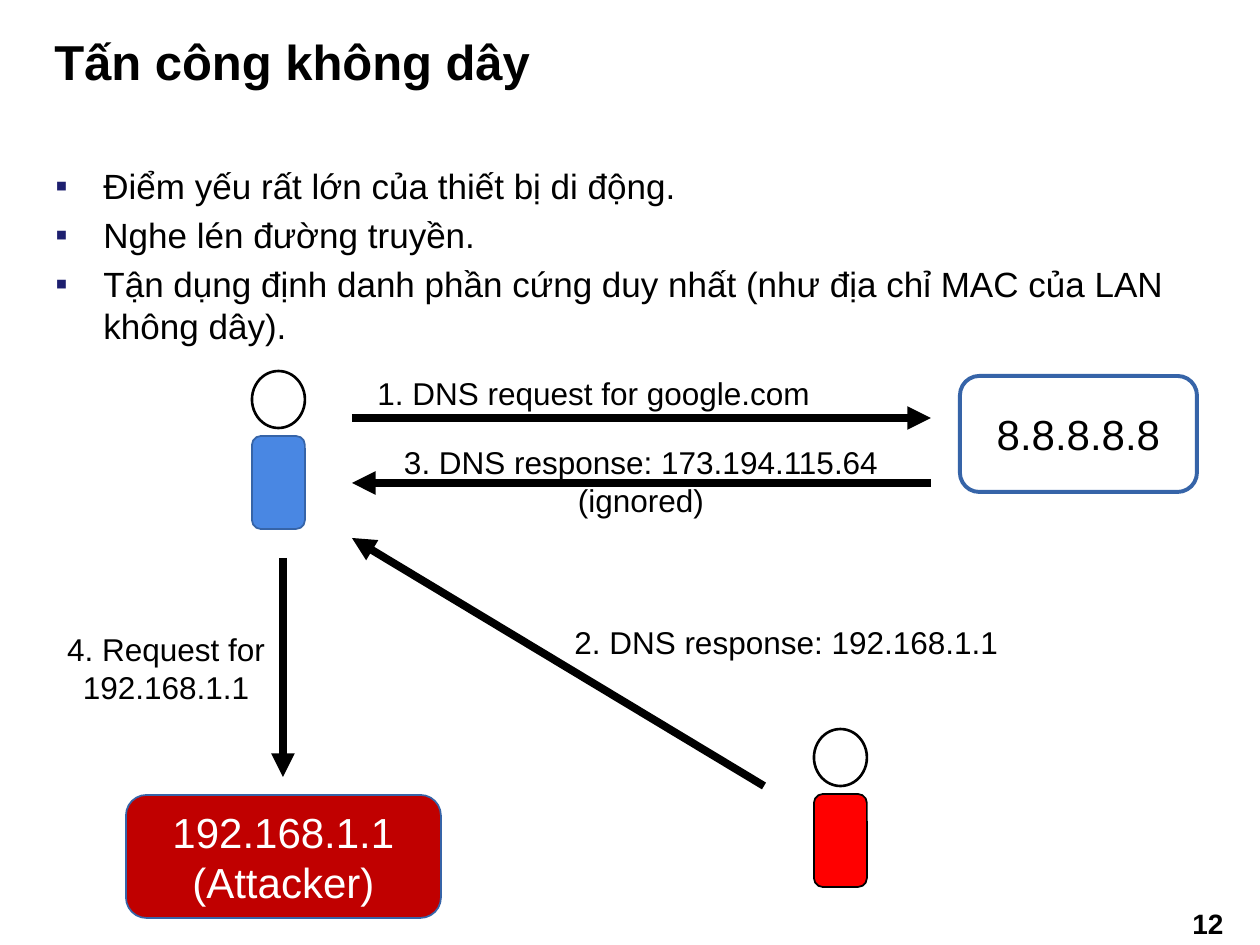
import pptx
import pptx.util
import pptx.dml.color
import pptx.enum.shapes
import pptx.enum.text
import pptx.oxml
import pptx.oxml.ns
import lxml.etree

SHAPE = pptx.enum.shapes.MSO_SHAPE
ANCHOR = pptx.enum.text.MSO_ANCHOR
ALIGN = pptx.enum.text.PP_ALIGN
Pt = pptx.util.Pt
rgb = pptx.dml.color.RGBColor.from_string
qn = pptx.oxml.ns.qn
PX = 914400 / 126


def write(shape, lines, size, color="000000", align=ALIGN.LEFT, bold=False):
    shape.text_frame.text = lines
    for paragraph in shape.text_frame.paragraphs:
        paragraph.alignment = align
        paragraph.font.name = "Arial"
        paragraph.font.size = Pt(size)
        paragraph.font.bold = bold
        paragraph.font.color.rgb = rgb(color)


def draw(kind, box, fill, line, width):
    shape = slide.shapes.add_shape(kind, *[round(n * PX) for n in box])
    shape.shadow.inherit = False
    shape.fill.solid()
    shape.fill.fore_color.rgb = rgb(fill)
    shape.line.color.rgb = rgb(line)
    shape.line.width = Pt(width)
    return shape


deck = pptx.Presentation()
deck.slide_width = round(1260 * PX)
deck.slide_height = round(945 * PX)
slide = deck.slides.add_slide(deck.slide_layouts[6])

title = slide.shapes.add_textbox(*[round(n * PX) for n in (42, 22, 1081, 78)])
title.text_frame.word_wrap = True
title.text_frame.vertical_anchor = ANCHOR.MIDDLE
write(title, "Tấn công không dây", 28, bold=True)

page_number = slide.shapes.add_textbox(*[round(n * PX) for n in (1165, 900, 86, 38)])
page_number.text_frame.word_wrap = True
write(page_number, "12", 16, align=ALIGN.CENTER, bold=True)

weaknesses = slide.shapes.add_textbox(*[round(n * PX) for n in (43, 158, 1166, 210)])
weaknesses.text_frame.word_wrap = True
weaknesses.text_frame.text = "\n".join([
    "Điểm yếu rất lớn của thiết bị di động.",
    "Nghe lén đường truyền.",
    "Tận dụng định danh phần cứng duy nhất (như địa chỉ MAC của LAN không dây).",
])
for index, point in enumerate(weaknesses.text_frame.paragraphs):
    properties = point._p.get_or_add_pPr()
    properties.set("marL", str(round(48 * PX)))
    properties.set("indent", str(round(-48 * PX)))
    bullet_color = lxml.etree.SubElement(properties, qn("a:buClr"))
    lxml.etree.SubElement(bullet_color, qn("a:srgbClr"), val="1D1F6F")
    lxml.etree.SubElement(properties, qn("a:buFont"), typeface="Arial")
    lxml.etree.SubElement(properties, qn("a:buChar"), char="▪")
    if index:
        point.space_before = Pt(4)
    point.font.name = "Arial"
    point.font.size = Pt(20)
    point.font.color.rgb = rgb("000000")

for left, top, body_fill, body_line in [
    (252, 371, "4987E3", "3664A8"),
    (814, 729, "FF0000", "000000"),
]:
    draw(SHAPE.ROUNDED_RECTANGLE, (left, top + 65, 53, 93), body_fill, body_line, 1)
    draw(SHAPE.OVAL, (left, top, 53, 57), "FFFFFF", "000000", 1.5)

for host, box, fill, width, color in [
    ("8.8.8.8.8", (960, 376, 237, 116), "FFFFFF", 2.25, "000000"),
    ("192.168.1.1\v(Attacker)", (126, 795, 315, 123), "C00000", 1, "FFFFFF"),
]:
    server = draw(SHAPE.ROUNDED_RECTANGLE, box, fill, "3664A8", width)
    server.text_frame.vertical_anchor = ANCHOR.MIDDLE
    write(server, host, 24, color, ALIGN.CENTER)

for message, box, align, ends in [
    ("1. DNS request for google.com", (365, 368, 462, 50), ALIGN.LEFT, (352, 418, 931, 418)),
    ("3. DNS response: 173.194.115.64\v(ignored)", (389, 437, 504, 89), ALIGN.CENTER,
     (931, 483, 352, 483)),
    ("2. DNS response: 192.168.1.1", (562, 617, 454, 50), ALIGN.LEFT, (764, 786, 352, 538)),
    ("4. Request for\v192.168.1.1", (49, 624, 234, 89), ALIGN.CENTER, (283, 558, 283, 777)),
]:
    arrow = slide.shapes.add_connector(
        pptx.enum.shapes.MSO_CONNECTOR.STRAIGHT, *[round(n * PX) for n in ends])
    arrow.line.color.rgb = rgb("000000")
    arrow.line.width = Pt(4.5)
    lxml.etree.SubElement(arrow.line._get_or_add_ln(), qn("a:tailEnd"), type="triangle")
    lxml.etree.SubElement(arrow._element.spPr, qn("a:effectLst"))
    label = slide.shapes.add_textbox(*[round(n * PX) for n in box])
    label.text_frame.word_wrap = False
    label.text_frame.auto_size = pptx.enum.text.MSO_AUTO_SIZE.SHAPE_TO_FIT_TEXT
    write(label, message, 18, align=align)

deck.save("out.pptx")
